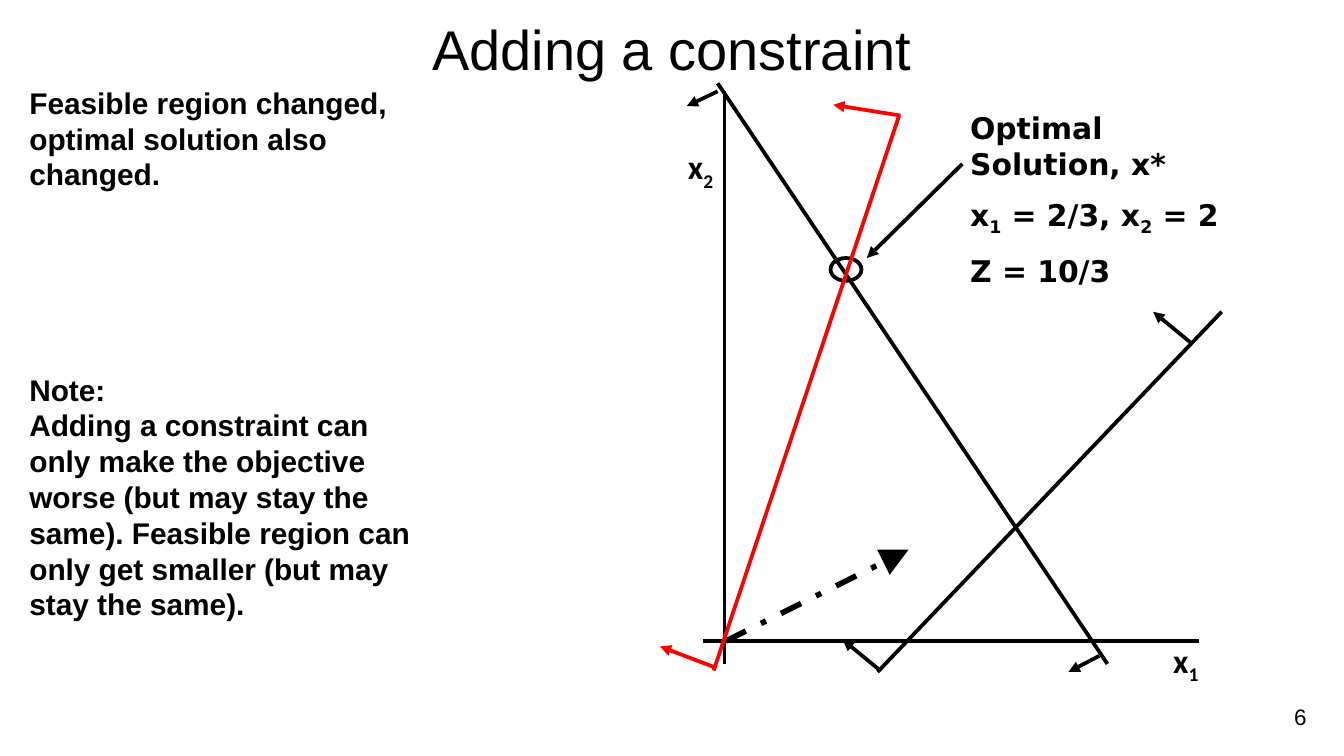
from lxml import etree
from pptx import Presentation
from pptx.dml.color import RGBColor
from pptx.enum.dml import MSO_LINE
from pptx.enum.shapes import MSO_CONNECTOR, MSO_SHAPE
from pptx.enum.text import MSO_ANCHOR, PP_ALIGN
from pptx.oxml.ns import qn
from pptx.util import Inches, Pt

BLACK = RGBColor(0x00, 0x00, 0x00)
RED = RGBColor(0xFF, 0x00, 0x00)


class SlideBuilder:
    line_width = 2

    def __init__(self, deck):
        self.slide = deck.slides.add_slide(deck.slide_layouts[6])

    def text(self, place, paragraphs, size, font="Arial", bold=False,
             align=PP_ALIGN.LEFT, anchor=MSO_ANCHOR.TOP, gap=8):
        """Add paragraphs of runs; "_" starts a subscript run, "\\n" is a line break."""
        box = self.slide.shapes.add_textbox(*map(Inches, place))
        frame = box.text_frame
        frame.word_wrap = True
        frame.vertical_anchor = anchor
        for index, runs in enumerate(paragraphs):
            para = frame.add_paragraph() if index else frame.paragraphs[0]
            para.alignment = align
            if index:
                para.space_before = Pt(gap)
            for run in runs:
                if run == "\n":
                    para.add_line_break()
                    continue
                span = para.add_run()
                span.text = run.removeprefix("_")
                span.font.name = font
                span.font.size = Pt(size)
                span.font.bold = bold
                span.font.color.rgb = BLACK
                if run.startswith("_"):
                    span.font._element.set("baseline", "-25000")

    def line(self, start, end, color=BLACK, width=line_width, dash=None):
        connector = self.slide.shapes.add_connector(
            MSO_CONNECTOR.STRAIGHT, *map(Inches, (*start, *end)))
        connector.line.color.rgb = color
        connector.line.width = Pt(width)
        if dash:
            connector.line.dash_style = dash
        etree.SubElement(connector._element.spPr, qn("a:effectLst"))
        return connector

    def arrow(self, start, end, head="med", **style):
        connector = self.line(start, end, **style)
        etree.SubElement(connector.line._get_or_add_ln(), qn("a:tailEnd"),
                         type="triangle", w=head, len=head)

    def ring(self, place):
        ring = self.slide.shapes.add_shape(MSO_SHAPE.OVAL, *map(Inches, place))
        ring.shadow.inherit = False
        ring.fill.background()
        ring.line.color.rgb = BLACK
        ring.line.width = Pt(self.line_width)


def main():
    deck = Presentation()
    deck.slide_width = Inches(10)
    deck.slide_height = Inches(10) * 9 // 16
    page = SlideBuilder(deck)

    page.text((0.5, 0.06, 9, 0.59), [["Adding a constraint"]], 30,
              align=PP_ALIGN.CENTER, anchor=MSO_ANCHOR.MIDDLE)
    page.text((7.49, 5.18, 2.33, 0.3), [["6"]], 12,
              align=PP_ALIGN.RIGHT, anchor=MSO_ANCHOR.MIDDLE)
    page.text((0.12, 0.58, 3.12, 4.14),
              [["Feasible region changed, optimal solution also changed."],
               ["Note:", "\n",
                "Adding a constraint can only make the objective worse "
                "(but may stay the same). Feasible region can only get "
                "smaller (but may stay the same)."]], 16, bold=True, gap=96)

    # Axes
    page.line((5.39, 0.68), (5.39, 4.94))
    page.line((5.23, 4.77), (8.92, 4.77))
    page.text((5.02, 1.04, 0.43, 0.4), [["x", "_2"]], 18, "Calibri", True)
    page.text((8.63, 4.71, 0.45, 0.27), [["x", "_1"]], 18, "Calibri", True)

    # Falling constraint
    page.line((5.34, 0.62), (8.24, 4.94))
    page.arrow((8.18, 4.88), (7.95, 5))
    page.arrow((5.34, 0.68), (5.11, 0.79))

    # Rising constraint
    page.line((6.53, 5), (9.09, 2.32))
    page.arrow((8.86, 2.55), (8.58, 2.32))
    page.arrow((6.55, 4.99), (6.27, 4.76))

    # Objective direction
    page.arrow((5.4, 4.77), (6.76, 4.09), head="lg", width=3,
               dash=MSO_LINE.DASH_DOT)

    # Optimal solution
    page.ring((6.18, 1.92, 0.23, 0.17))
    page.arrow((7.16, 1.22), (6.45, 1.92))
    page.text((7.12, 0.77, 2.54, 1.85),
              [["Optimal ", "\n", "Solution, x*"],
               ["x", "_1", " = 2/3, x", "_2", " = 2"],
               ["Z = 10/3"]], 16, "DejaVu Sans", True)

    # Added constraint
    page.line((6.69, 0.86), (5.31, 4.99), color=RED)
    page.arrow((5.33, 4.97), (4.91, 4.81), color=RED)
    page.arrow((6.7, 0.86), (6.2, 0.78), color=RED)

    deck.save("out.pptx")


if __name__ == "__main__":
    main()
